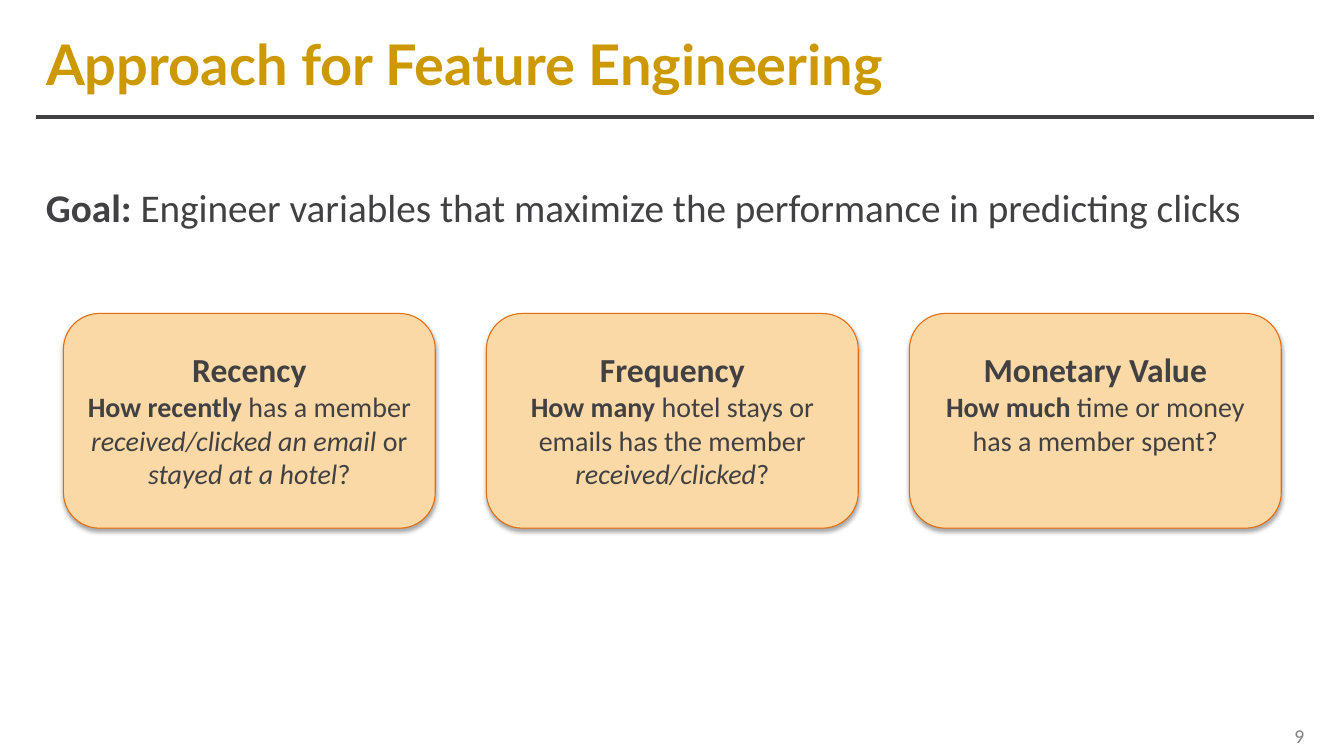
from dataclasses import dataclass

from lxml import etree
from pptx import Presentation
from pptx.dml.color import RGBColor
from pptx.enum import shapes, text
from pptx.oxml import ns
from pptx.util import Cm, Pt


@dataclass(frozen=True)
class Theme:
    gold: RGBColor = RGBColor(0xCC, 0x99, 0x00)
    ink: RGBColor = RGBColor(0x41, 0x40, 0x42)
    peach: RGBColor = RGBColor(0xFB, 0xD9, 0xA6)
    orange: RGBColor = RGBColor(0xE4, 0x6C, 0x0A)
    grey: RGBColor = RGBColor(0x80, 0x80, 0x80)
    title_font: str = "Lato"
    body_font: str = "Calibri"
    title_size: Pt = Pt(40)
    goal_size: Pt = Pt(28)
    heading_size: Pt = Pt(24)
    card_size: Pt = Pt(20)
    number_size: Pt = Pt(14)


THEME = Theme()
PLAIN, BOLD, ITALIC = {"bold": False}, {"bold": True}, {"bold": False, "italic": True}
CENTER = text.PP_ALIGN.CENTER

CARDS = [
    ("Recency", [
        ("How recently", BOLD), (" has a member ", PLAIN),
        ("received/clicked an email ", ITALIC), ("or ", PLAIN),
        ("stayed at a hotel", ITALIC), ("?", PLAIN),
    ]),
    ("Frequency", [
        ("How many ", BOLD), ("hotel stays or emails has the member ", PLAIN),
        ("received/clicked", ITALIC), ("?", PLAIN),
    ]),
    ("Monetary Value", [
        ("How much", BOLD), (" time or money has a member spent?", PLAIN),
    ]),
]


def set_format(target, values):
    for name, value in values.items():
        setattr(target, name, value)


def write(para, spans, size, color=THEME.ink, font=THEME.body_font, **layout):
    set_format(para, layout)
    for words, style in spans:
        span = para.add_run()
        span.text = words
        set_format(span.font, {"name": font, "size": size, **style})
        span.font.color.rgb = color


def add_effects(shape):
    return etree.SubElement(shape._element.spPr, ns.qn("a:effectLst"))


def add_title(page, words):
    title = page.shapes.title
    set_format(title, {"left": Cm(0.91), "top": Cm(0.56),
                       "width": Cm(28.75), "height": Cm(2.08)})
    set_format(title.text_frame, {"vertical_anchor": text.MSO_ANCHOR.MIDDLE,
                                  "auto_size": text.MSO_AUTO_SIZE.NONE})
    write(title.text_frame.paragraphs[0], [(words, BOLD)], THEME.title_size,
          THEME.gold, THEME.title_font, alignment=text.PP_ALIGN.LEFT)


def add_rule(page):
    rule = page.shapes.add_connector(shapes.MSO_CONNECTOR.STRAIGHT,
                                     Cm(0.91), Cm(2.95), Cm(33.12), Cm(2.95))
    rule.line.color.rgb = THEME.ink
    rule.line.width = Pt(3)
    add_effects(rule)


def add_text(page, left, top, width, height, anchor=text.MSO_ANCHOR.TOP):
    box = page.shapes.add_textbox(left, top, width, height)
    set_format(box.text_frame, {"word_wrap": True, "vertical_anchor": anchor})
    return box.text_frame.paragraphs[0]


def add_soft_shadow(shape):
    shadow = etree.SubElement(add_effects(shape), ns.qn("a:outerShdw"),
                              blurRad=str(Pt(3.1)), dist=str(Pt(1.8)),
                              dir="5400000", rotWithShape="0")
    color = etree.SubElement(shadow, ns.qn("a:srgbClr"), val="000000")
    etree.SubElement(color, ns.qn("a:alpha"), val="35000")


def add_card(page, left, heading, spans):
    card = page.shapes.add_shape(shapes.MSO_SHAPE.ROUNDED_RECTANGLE,
                                 left, Cm(7.9), Cm(9.37), Cm(5.41))
    card.fill.solid()
    card.fill.fore_color.rgb = THEME.peach
    card.line.color.rgb = THEME.orange
    card.line.width = Pt(0.75)
    add_soft_shadow(card)
    frame = card.text_frame
    set_format(frame, {"word_wrap": True, "vertical_anchor": text.MSO_ANCHOR.TOP})
    write(frame.paragraphs[0], [(heading, BOLD)], THEME.heading_size,
          alignment=CENTER, line_spacing=1.5)
    write(frame.add_paragraph(), spans, THEME.card_size, alignment=CENTER)


def main():
    deck = Presentation()
    set_format(deck, {"slide_width": Cm(33.87), "slide_height": Cm(19.05)})
    page = deck.slides.add_slide(deck.slide_layouts.get_by_name("Title Only"))
    add_rule(page)
    add_title(page, "Approach for Feature Engineering")
    goal = add_text(page, Cm(0.91), Cm(3.89), Cm(31.8), Cm(1.85))
    write(goal, [
        ("Goal: ", BOLD),
        ("Engineer variables that maximize the performance in predicting clicks", PLAIN),
    ], THEME.goal_size, line_spacing=1.5)
    for index, (heading, spans) in enumerate(CARDS):
        add_card(page, Cm(1.6 + 10.66 * index), heading, spans)
    number = add_text(page, Cm(24.28), Cm(18.03), Cm(8.84), Cm(1.02),
                      text.MSO_ANCHOR.MIDDLE)
    write(number, [("9", PLAIN)], THEME.number_size, THEME.grey,
          alignment=text.PP_ALIGN.RIGHT)
    deck.save("out.pptx")


if __name__ == "__main__":
    main()
